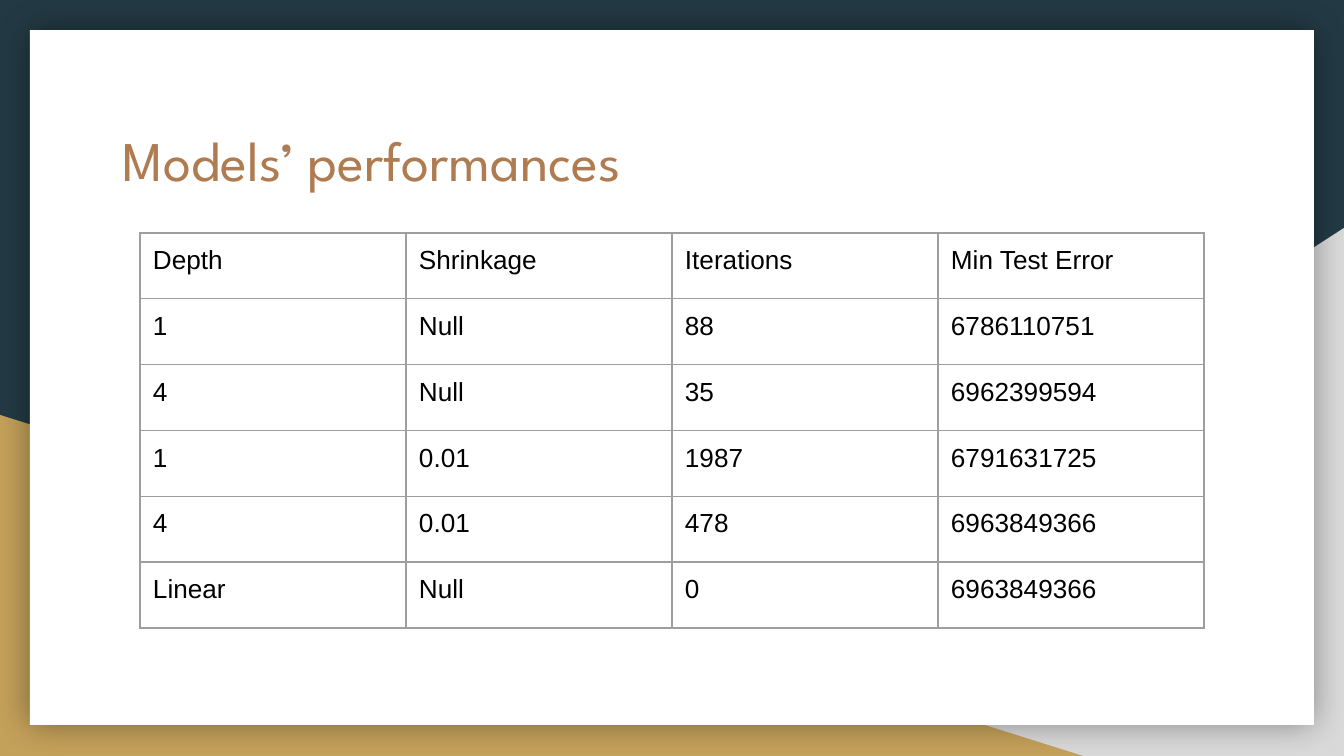
from dataclasses import dataclass

from lxml.etree import SubElement
from pptx import Presentation
from pptx.dml.color import RGBColor
from pptx.enum.shapes import MSO_SHAPE
from pptx.enum.text import MSO_ANCHOR
from pptx.oxml.ns import qn
from pptx.util import Emu, Pt

EMU_PER_PX = 914400 / 134.4


@dataclass(frozen=True)
class Theme:
    backdrop: str = "233A44"
    grey: str = "D9D9D9"
    gold: str = "C4A15A"
    panel: str = "FFFFFF"
    shadow: str = "000000"
    title: str = "AF7B51"
    text: str = "000000"
    border: str = "9E9E9E"
    title_font: str = "League Spartan"
    body_font: str = "Arial"
    title_size: int = 30
    body_size: int = 14
    border_width: float = 0.75
    inset: int = 13


THEME = Theme()

ROWS = [
    ("Depth", "Shrinkage", "Iterations", "Min Test Error"),
    ("1", "Null", "88", "6786110751"),
    ("4", "Null", "35", "6962399594"),
    ("1", "0.01", "1987", "6791631725"),
    ("4", "0.01", "478", "6963849366"),
    ("Linear", "Null", "0", "6963849366"),
]


def px(length):
    return Emu(round(length * EMU_PER_PX))


def color(value):
    return RGBColor.from_string(value)


def add_block(page, preset, left, top, width, height, fill):
    block = page.shapes.add_shape(preset, px(left), px(top), px(width), px(height))
    block.shadow.inherit = False
    block.fill.solid()
    block.fill.fore_color.rgb = color(fill)
    block.line.fill.background()
    return block


def flip_horizontal(shape):
    shape._element.spPr.find(qn("a:xfrm")).set("flipH", "1")


def add_soft_shadow(shape, blur, percent):
    effects = shape._element.spPr.find(qn("a:effectLst"))
    shadow = SubElement(effects, qn("a:outerShdw"), blurRad=str(Pt(blur)),
                        dist="0", dir="0", algn="ctr", rotWithShape="0")
    tone = SubElement(shadow, qn("a:srgbClr"), val=THEME.shadow)
    SubElement(tone, qn("a:alpha"), val=str(percent * 1000))


def add_span(para, text, font, size, tone):
    span = para.add_run()
    span.text = text
    span.font.name = font
    span.font.size = Pt(size)
    span.font.color.rgb = color(tone)


def set_insets(target):
    target.margin_left = target.margin_right = px(THEME.inset)
    target.margin_top = target.margin_bottom = px(THEME.inset)


def add_title(page, text, left, top, width, height):
    box = page.shapes.add_textbox(px(left), px(top), px(width), px(height))
    frame = box.text_frame
    frame.word_wrap = True
    frame.vertical_anchor = MSO_ANCHOR.TOP
    set_insets(frame)
    add_span(frame.paragraphs[0], text, THEME.title_font, THEME.title_size, THEME.title)


def set_borders(cell):
    properties = cell._tc.get_or_add_tcPr()
    # Border lines come before the fill in the cell properties
    for position, side in enumerate(("a:lnL", "a:lnR", "a:lnT", "a:lnB")):
        line = SubElement(properties, qn(side), w=str(Pt(THEME.border_width)))
        fill = SubElement(line, qn("a:solidFill"))
        SubElement(fill, qn("a:srgbClr"), val=THEME.border)
        properties.insert(position, line)


def add_grid(page, rows, left, top, width, height):
    table = page.shapes.add_table(len(rows), len(rows[0]), px(left), px(top),
                                  px(width), px(height)).table
    table.first_row = False
    table.horz_banding = False
    for row, values in enumerate(rows):
        for column, value in enumerate(values):
            cell = table.cell(row, column)
            cell.fill.background()
            set_insets(cell)
            set_borders(cell)
            add_span(cell.text_frame.paragraphs[0], value,
                     THEME.body_font, THEME.body_size, THEME.text)


def main():
    deck = Presentation()
    deck.slide_width, deck.slide_height = px(1344), px(756)
    page = deck.slides.add_slide(deck.slide_layouts[6])

    # Backdrop with two corner triangles
    page.background.fill.solid()
    page.background.fill.fore_color.rgb = color(THEME.backdrop)
    corner = add_block(page, MSO_SHAPE.RIGHT_TRIANGLE, 527, 228, 817, 528, THEME.grey)
    flip_horizontal(corner)
    add_block(page, MSO_SHAPE.RIGHT_TRIANGLE, 0, 415, 1083, 341, THEME.gold)

    # White panel
    panel = add_block(page, MSO_SHAPE.RECTANGLE, 30, 30, 1284, 695, THEME.panel)
    add_soft_shadow(panel, 18, 40)

    # Title and results
    add_title(page, "Models’ performances", 110, 113, 1104, 140)
    add_grid(page, ROWS, 140, 233, 1064, 395)

    deck.save("out.pptx")


if __name__ == "__main__":
    main()
